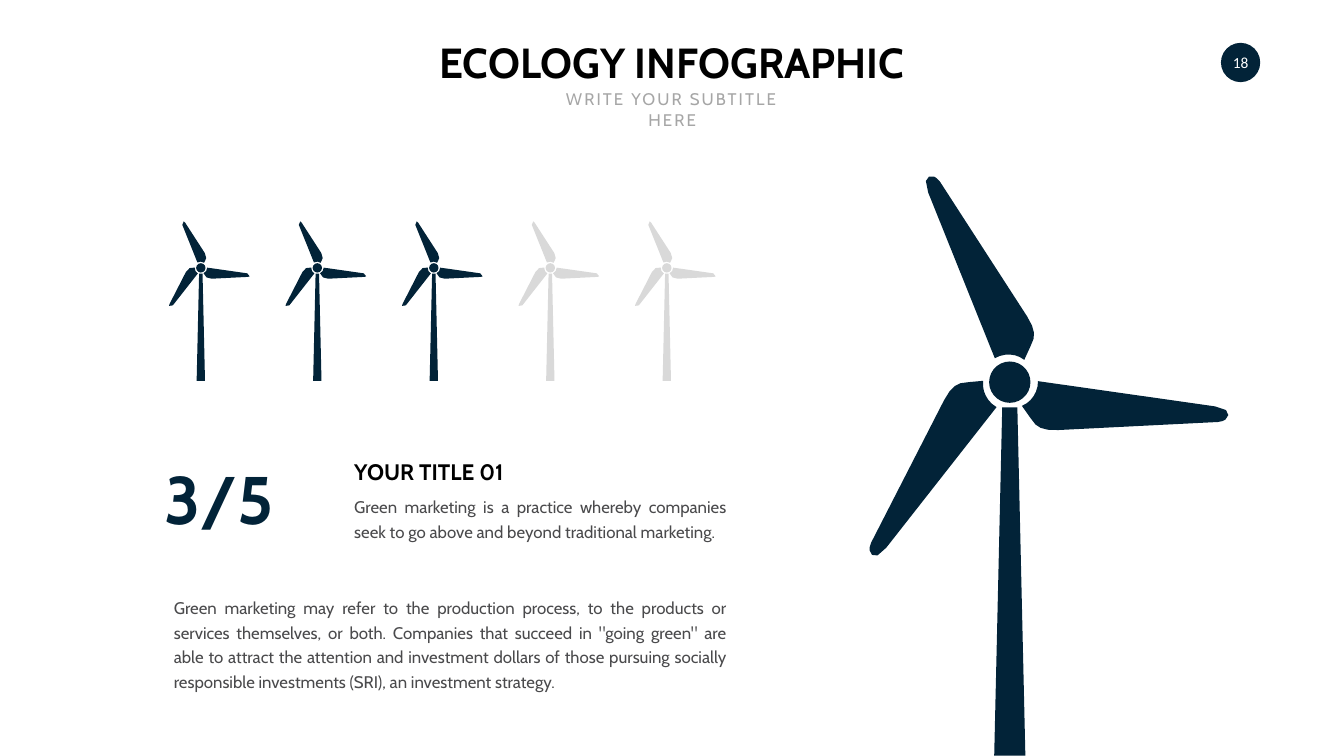
import math

from pptx import Presentation
from pptx.dml.color import RGBColor
from pptx.enum import shapes, text
from pptx.util import Cm, Pt

NAVY = RGBColor(0x02, 0x23, 0x38)
PALE = RGBColor(0xD9, 0xD9, 0xD9)
SILVER = RGBColor(0xA6, 0xA6, 0xA6)
SLATE = RGBColor(0x4A, 0x4A, 0x4C)
BLACK = RGBColor(0, 0, 0)
WHITE = RGBColor(0xFF, 0xFF, 0xFF)

# Blade pointing right, measured from the hub centre:
# a pair ends a straight line, six numbers are a cubic curve.
BLADE_START = (0.56, -0.02)
BLADE = [
    (4.07, 0.48),
    (4.40, 0.53, 4.36, 0.67, 4.28, 0.74),
    (4.23, 0.78, 4.17, 0.78, 4.13, 0.79),
    (0.96, 0.95),
    (0.71, 0.96, 0.60, 0.92, 0.51, 0.84),
    (0.41, 0.71),
    (0.24, 0.47),
    (0.34, 0.43, 0.42, 0.36, 0.47, 0.28),
    (0.53, 0.19, 0.56, 0.09, 0.56, -0.02),
]
HUB_RADIUS = 0.41
TOWER_TOP, TOWER_HALF_WIDTH, TOWER_FLARE = 0.5, 0.15, 0.023

INTRO = ("Green marketing is a practice whereby companies seek to go above "
         "and beyond traditional marketing.")
DETAILS = ("Green marketing may refer to the production process, to the "
           "products or services themselves, or both. Companies that succeed "
           "in \"going green\" are able to attract the attention and "
           "investment dollars of those pursuing socially responsible "
           "investments (SRI), an investment strategy.")


def curve_points(start, curve, steps):
    """Sample a cubic curve, leaving out its start."""
    xs, ys = (start[0], *curve[0::2]), (start[1], *curve[1::2])
    for step in range(1, steps + 1):
        t = step / steps
        weights = [math.comb(3, k) * t ** k * (1 - t) ** (3 - k)
                   for k in range(4)]
        yield (sum(w * x for w, x in zip(weights, xs)),
               sum(w * y for w, y in zip(weights, ys)))


def blade_outline(degrees, steps):
    points = [BLADE_START]
    for segment in BLADE:
        if len(segment) == 2:
            points.append(segment)
        else:
            points.extend(curve_points(points[-1], segment, steps))
    cos, sin = math.cos(math.radians(degrees)), math.sin(math.radians(degrees))
    return [(x * cos - y * sin, x * sin + y * cos) for x, y in points[:-1]]


def hub_outline(corners):
    angles = [math.tau * corner / corners for corner in range(corners)]
    return [(HUB_RADIUS * math.cos(a), HUB_RADIUS * math.sin(a))
            for a in angles]


def tower_outline(length):
    foot = TOWER_HALF_WIDTH + TOWER_FLARE * (length - TOWER_TOP)
    return [(TOWER_HALF_WIDTH, TOWER_TOP), (foot, length),
            (-foot, length), (-TOWER_HALF_WIDTH, TOWER_TOP)]


def paint(shape, color):
    shape.shadow.inherit = False
    shape.fill.solid()
    shape.fill.fore_color.rgb = color
    shape.line.fill.background()


def add_turbine(page, hub_x, hub_y, scale, tower_length, color, steps):
    """Draw one turbine; scale is centimetres per unit, steps the smoothness."""
    outlines = [blade_outline(turn, steps) for turn in (0, 120, 240)]
    outlines += [hub_outline(8 * steps + 4), tower_outline(tower_length)]
    builder = None
    for outline in outlines:
        points = [(Cm(hub_x + scale * x), Cm(hub_y + scale * y))
                  for x, y in outline]
        if builder is None:
            builder = page.shapes.build_freeform(*points[0], scale=1.0)
        else:
            builder.move_to(*points[0])
        builder.add_line_segments(points[1:], close=True)
    paint(builder.convert_to_shape(), color)


def place(shape, left, top, width, height):
    shape.left, shape.top = Cm(left), Cm(top)
    shape.width, shape.height = Cm(width), Cm(height)


def write(shape, words, size, color, bold=False, font="Cabin", wrap=True,
          align=text.PP_ALIGN.LEFT, anchor=text.MSO_ANCHOR.TOP,
          line_spacing=None, tracking=None):
    """Fill a shape with one paragraph; tracking is in points."""
    frame = shape.text_frame
    frame.word_wrap = wrap
    frame.vertical_anchor = anchor
    frame.auto_size = text.MSO_AUTO_SIZE.SHAPE_TO_FIT_TEXT
    para = frame.paragraphs[0]
    para.alignment = align
    if line_spacing:
        para.line_spacing = Pt(line_spacing)
    span = para.add_run()
    span.text = words
    for name, value in {"name": font, "size": Pt(size), "bold": bold}.items():
        setattr(span.font, name, value)
    span.font.color.rgb = color
    if tracking:
        span._r.get_or_add_rPr().set("spc", str(tracking * 100))


def add_text(page, area, words, size, color, **style):
    box = page.shapes.add_textbox(*(Cm(length) for length in area))
    write(box, words, size, color, **style)


def add_page_number(page, number):
    badge = page.shapes.add_shape(shapes.MSO_SHAPE.OVAL, Cm(61.52), Cm(2.16),
                                  Cm(1.98), Cm(1.98))
    paint(badge, NAVY)
    frame = badge.text_frame
    for side in ("left", "top", "right", "bottom"):
        setattr(frame, f"margin_{side}", Cm(0.13))
    write(badge, number, 22, WHITE, font="Calibri",
          align=text.PP_ALIGN.CENTER, anchor=text.MSO_ANCHOR.MIDDLE)
    frame.auto_size = text.MSO_AUTO_SIZE.NONE


def main():
    deck = Presentation()
    deck.slide_width, deck.slide_height = Cm(67.72), Cm(38.1)
    page = deck.slides.add_slide(deck.slide_layouts[5])
    center = text.PP_ALIGN.CENTER
    justify = text.PP_ALIGN.JUSTIFY

    title = page.shapes.title
    place(title, 20.83, 1.7, 26.04, 2.82)
    write(title, "ECOLOGY INFOGRAPHIC", 60, BLACK, bold=True, wrap=False,
          align=center)
    add_text(page, (26.97, 4.37, 13.79, 1.27), "WRITE YOUR SUBTITLE HERE", 24,
             SILVER, align=center, tracking=3)
    add_page_number(page, "18")

    add_turbine(page, 50.88, 19.26, 2.54, 7.41, NAVY, steps=3)
    for index in range(5):
        add_turbine(page, 10.12 + 5.87 * index, 13.5, 0.575, 9.9,
                    NAVY if index < 3 else PALE, steps=1)

    add_text(page, (8.03, 22.94, 6.35, 4.37), "3/5", 96, NAVY, bold=True,
             wrap=False)
    add_text(page, (17.6, 22.94, 8.2, 1.63), "YOUR TITLE 01", 32, BLACK,
             bold=True, wrap=False, anchor=text.MSO_ANCHOR.MIDDLE)
    add_text(page, (17.6, 24.69, 19.25, 2.62), INTRO, 24, SLATE,
             align=justify, line_spacing=35)
    add_text(page, (8.51, 29.79, 28.35, 5.11), DETAILS, 24, SLATE,
             align=justify, line_spacing=35)
    deck.save("out.pptx")


if __name__ == "__main__":
    main()
